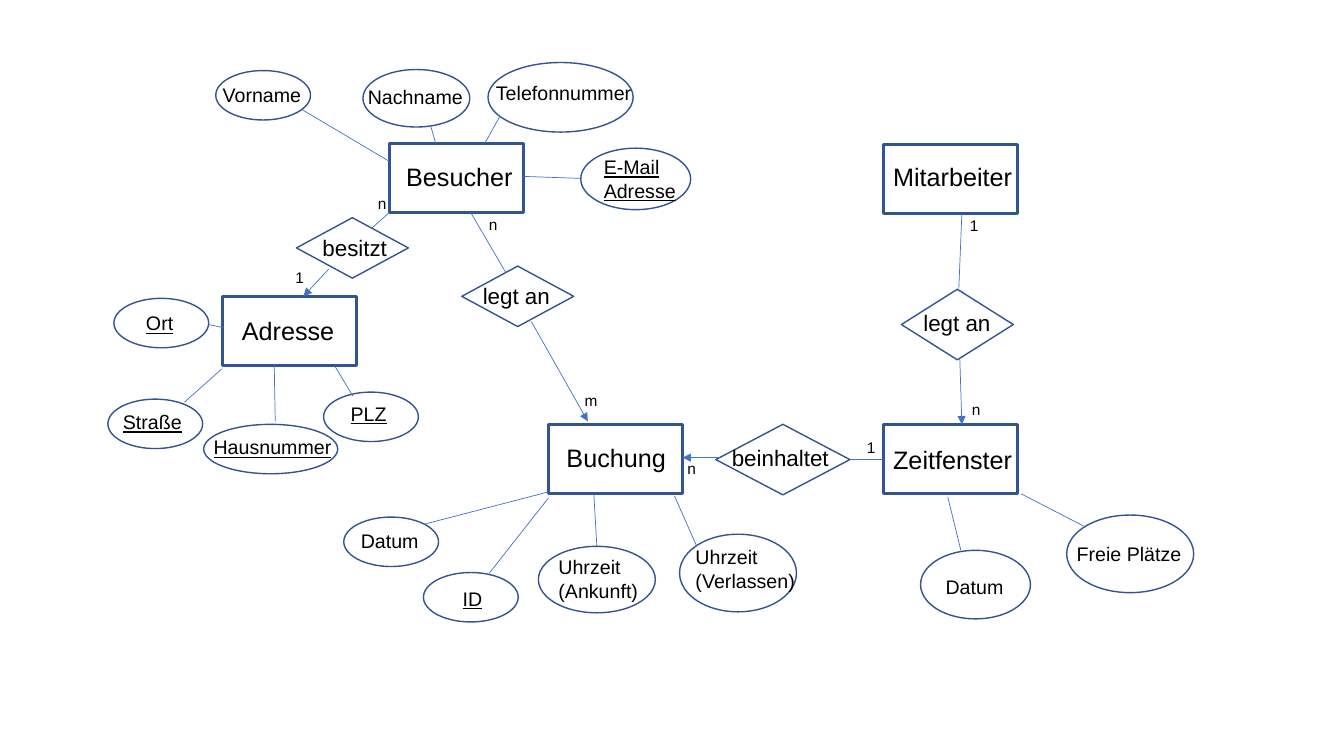
from pptx import Presentation
from pptx.dml.color import RGBColor
from pptx.enum.shapes import MSO_CONNECTOR, MSO_SHAPE
from pptx.oxml.ns import qn
from pptx.util import Inches, Pt
from lxml import etree

RECTANGLE, DIAMOND, ELLIPSE = MSO_SHAPE.RECTANGLE, MSO_SHAPE.DIAMOND, MSO_SHAPE.OVAL
STRAIGHT = MSO_CONNECTOR.STRAIGHT
COLORS = {"outline": "325491", "link": "4472C4", "text": "000000"}
FONT = "Arial"

presentation = Presentation()
presentation.slide_width = Inches(13.33)
presentation.slide_height = Inches(7.5)
slide = presentation.slides.add_slide(presentation.slide_layouts[6])


def add_label(text, left, top, width, height, size, underline=False):
    box = slide.shapes.add_textbox(Inches(left), Inches(top), Inches(width), Inches(height))
    box.text_frame.word_wrap = True
    paragraph = box.text_frame.paragraphs[0]
    paragraph.text = text
    font = paragraph.font
    font.name = FONT
    font.size = Pt(size)
    font.color.rgb = RGBColor.from_string(COLORS["text"])
    if underline:
        font.underline = True


def add_outline(kind, left, top, width, height, weight):
    shape = slide.shapes.add_shape(kind, Inches(left), Inches(top), Inches(width), Inches(height))
    shape.shadow.inherit = False
    shape.fill.background()
    shape.line.color.rgb = RGBColor.from_string(COLORS["outline"])
    shape.line.width = Pt(weight)


entities = [
    ("Besucher", 3.86, 1.42, 3.93, 1.55),
    ("Mitarbeiter", 8.76, 1.43, 8.76, 1.55),
    ("Adresse", 2.21, 2.94, 2.3, 3.08),
    ("Buchung", 5.44, 4.21, 5.52, 4.34),
    ("Zeitfenster", 8.76, 4.21, 8.76, 4.36),
]
for text, left, top, label_left, label_top in entities:
    add_outline(RECTANGLE, left, top, 1.33, 0.69, 2)
    add_label(text, label_left, label_top, 1.49, 0.4, 18)

relationships = [
    ("besitzt", 2.94, 2.16, 1.11, 0.6, 3.1, 2.27),
    ("legt an", 4.58, 2.64, 1.11, 0.6, 4.69, 2.75),
    ("beinhaltet", 7.1, 4.21, 1.33, 0.7, 7.16, 4.36),
    ("legt an", 8.94, 2.87, 1.11, 0.7, 9.06, 3.02),
]
for text, left, top, width, height, label_left, label_top in relationships:
    add_outline(DIAMOND, left, top, width, height, 1)
    add_label(text, label_left, label_top, 1.23, 0.37, 16)

attributes = [
    ("Vorname", 2.14, 0.7, 0.94, 0.49, 2.11, 0.77),
    ("Nachname", 3.6, 0.69, 1.06, 0.57, 3.55, 0.79),
    ("Telefonnummer", 4.84, 0.62, 1.44, 0.69, 4.82, 0.75),
    ("E-Mail Adresse", 5.76, 1.47, 1.09, 0.61, 5.89, 1.49),
    ("Ort", 1.13, 2.96, 0.94, 0.49, 1.35, 3.04),
    ("Straße", 1.07, 3.96, 0.94, 0.49, 1.12, 4.02),
    ("Hausnummer", 2.02, 4.21, 1.33, 0.49, 2.02, 4.27),
    ("PLZ", 3.21, 3.89, 0.94, 0.49, 3.38, 3.94),
    ("Datum", 3.41, 5.13, 0.94, 0.49, 3.48, 5.2),
    ("ID", 4.2, 5.68, 0.94, 0.49, 4.49, 5.77),
    ("Uhrzeit (Ankunft)", 5.34, 5.42, 1.16, 0.66, 5.44, 5.46),
    ("Uhrzeit (Verlassen)", 6.74, 5.3, 1.16, 0.77, 6.8, 5.36),
    ("Datum", 9.13, 5.46, 1.09, 0.68, 9.28, 5.65),
    ("Freie Plätze", 10.58, 5.11, 1.26, 0.77, 10.58, 5.33),
]
keys = {"E-Mail Adresse", "Ort", "Straße", "Hausnummer", "PLZ", "ID"}
wide_labels = {"Telefonnummer": 1.68, "Hausnummer": 1.47}
for text, left, top, width, height, label_left, label_top in attributes:
    add_outline(ELLIPSE, left, top, width, height, 1)
    label_height = 0.57 if " " in text and text != "Freie Plätze" else 0.34
    add_label(text, label_left, label_top, wide_labels.get(text, 1.33), label_height, 14, text in keys)

cardinalities = [
    ("n", 3.65, 1.88), ("1", 2.83, 2.61),
    ("n", 4.75, 2.08), ("m", 5.7, 3.83),
    ("n", 6.72, 4.51), ("1", 8.5, 4.3),
    ("1", 9.52, 2.09), ("n", 9.54, 3.92),
]
for text, left, top in cardinalities:
    add_label(text, left, top, 0.42, 0.29, 11)

arrows = [
    (5.27, 3.19, 5.83, 4.18),
    (3.26, 2.67, 3.01, 2.94),
    (7.16, 4.54, 6.77, 4.54),
    (9.52, 3.56, 9.54, 4.21),
]
plain_links = [
    (3.68, 2.27, 3.86, 2.11),
    (4.67, 2.11, 5.02, 2.71),
    (8.43, 4.56, 8.76, 4.56),
    (9.51, 2.86, 9.54, 2.12),
    (3, 1.09, 3.86, 1.6),
    (4.27, 1.24, 4.32, 1.42),
    (4.96, 1.15, 4.81, 1.42),
    (5.76, 1.77, 5.19, 1.75),
    (2.21, 3.25, 2.07, 3.22),
    (2.2, 3.66, 1.83, 3.99),
    (2.72, 3.61, 2.73, 4.18),
    (3.32, 3.63, 3.5, 3.93),
    (5.44, 4.88, 4.21, 5.2),
    (5.44, 4.94, 4.85, 5.69),
    (5.89, 4.9, 5.92, 5.42),
    (6.69, 4.92, 6.91, 5.42),
    (9.4, 4.93, 9.53, 5.46),
    (10.13, 4.9, 10.77, 5.23),
]
for ends in arrows + plain_links:
    connector = slide.shapes.add_connector(STRAIGHT, *[Inches(value) for value in ends])
    connector.line.color.rgb = RGBColor.from_string(COLORS["link"])
    connector.line.width = Pt(0.5)
    if ends in arrows:
        etree.SubElement(connector.line._get_or_add_ln(), qn("a:tailEnd"), type="triangle")
    etree.SubElement(connector._element.spPr, qn("a:effectLst"))

presentation.save("out.pptx")
